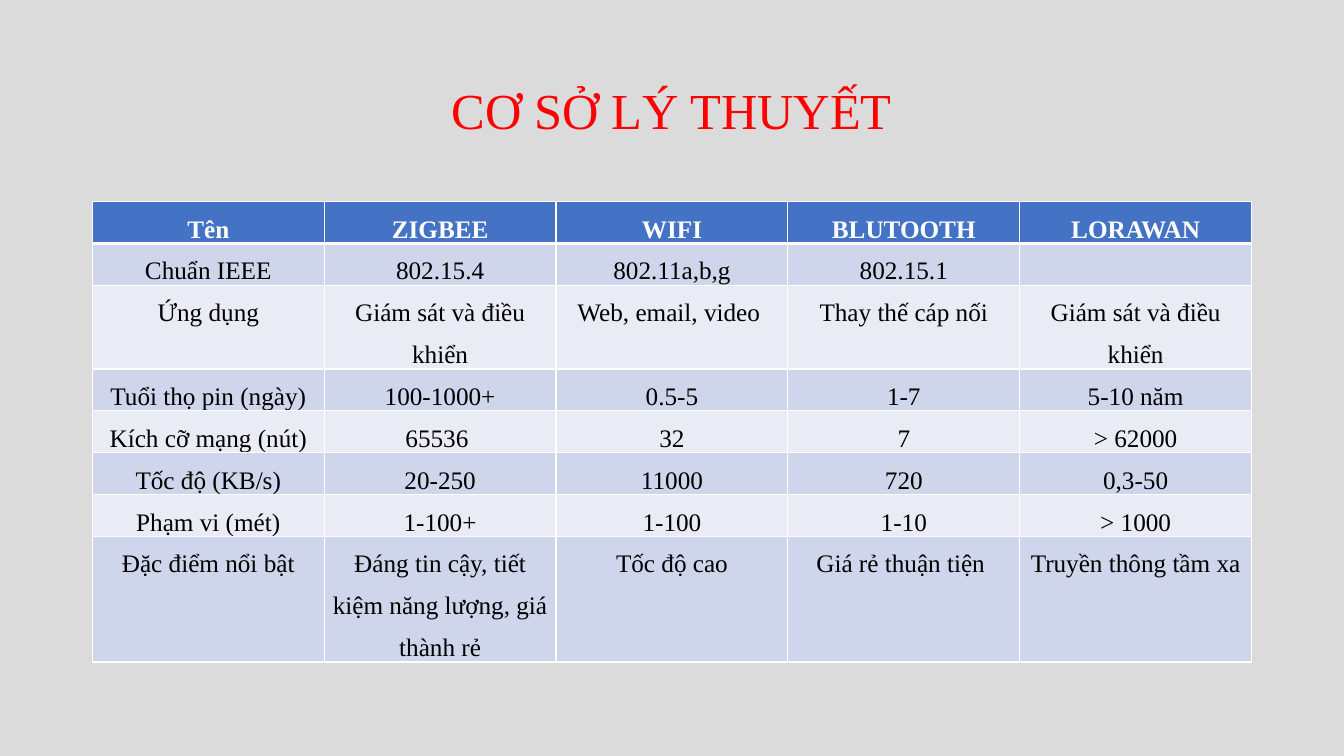
import dataclasses

import lxml.etree
import pptx
import pptx.dml.color
import pptx.enum.text
import pptx.oxml.ns
import pptx.util

Pt = pptx.util.Pt
FONT = "Times New Roman"
LEFT, WIDTH = 66, 828
ROW_HEIGHT = 29.5


@dataclasses.dataclass(frozen=True)
class RowStyle:
    fill: str
    color: str
    bold: bool
    top: float = 1
    bottom: float = 1


HEADER = RowStyle("4472C4", "FFFFFF", True, bottom=3)
FIRST = RowStyle("CFD5EA", "000000", False, top=3)
DARK = RowStyle("CFD5EA", "000000", False)
LIGHT = RowStyle("E9EBF5", "000000", False)

ROWS = [
    ("Tên", "ZIGBEE", "WIFI", "BLUTOOTH", "LORAWAN"),
    ("Chuẩn IEEE", "802.15.4", "802.11a,b,g", "802.15.1", ""),
    ("Ứng dụng", "Giám sát và điều khiển", "Web, email, video ",
     "Thay thế cáp nối", "Giám sát và điều khiển"),
    ("Tuổi thọ pin (ngày)", "100-1000+", "0.5-5", "1-7", "5-10 năm"),
    ("Kích cỡ mạng (nút)", "65536 ", "32", "7", "> 62000"),
    ("Tốc độ (KB/s)", "20-250", "11000", "720", "0,3-50"),
    ("Phạm vi (mét)", "1-100+", "1-100", "1-10", "> 1000"),
    ("Đặc điểm nổi bật", "Đáng tin cậy, tiết kiệm năng lượng, giá thành rẻ",
     "Tốc độ cao", "Giá rẻ thuận tiện ", "Truyền thông tầm xa"),
]


def rgb(value: str) -> pptx.dml.color.RGBColor:
    return pptx.dml.color.RGBColor.from_string(value)


def style_paragraph(p, size: float, color: str, spacing: float, bold: bool = False) -> None:
    p.alignment = pptx.enum.text.PP_ALIGN.CENTER
    p.line_spacing = spacing
    p.font.name = FONT
    p.font.size = Pt(size)
    p.font.bold = bold
    p.font.color.rgb = rgb(color)


def add_borders(cell, style: RowStyle) -> None:
    qn = pptx.oxml.ns.qn
    tc_pr = cell._tc.get_or_add_tcPr()
    widths = {"a:lnL": 1, "a:lnR": 1, "a:lnT": style.top, "a:lnB": style.bottom}
    for i, (tag, width) in enumerate(widths.items()):
        ln = lxml.etree.Element(qn(tag), w=str(Pt(width)))
        fill = lxml.etree.SubElement(ln, qn("a:solidFill"))
        lxml.etree.SubElement(fill, qn("a:srgbClr"), val="FFFFFF")
        tc_pr.insert(i, ln)


def fill_cell(cell, text: str, style: RowStyle) -> None:
    cell.margin_left = cell.margin_right = Pt(5)
    cell.margin_top = cell.margin_bottom = 0
    cell.fill.solid()
    cell.fill.fore_color.rgb = rgb(style.fill)
    add_borders(cell, style)
    p = cell.text_frame.paragraphs[0]
    if text:
        p.text = text
    style_paragraph(p, 18, style.color, 1.5, style.bold)


def add_title(s, text: str) -> None:
    sp = s.shapes.add_textbox(Pt(LEFT), Pt(28.8), Pt(WIDTH), Pt(104.4))
    tf = sp.text_frame
    tf.word_wrap = True
    tf.vertical_anchor = pptx.enum.text.MSO_ANCHOR.MIDDLE
    p = tf.paragraphs[0]
    p.text = text
    style_paragraph(p, 36, "FF0000", 0.9)


def add_comparison(s) -> None:
    columns = len(ROWS[0])
    table = s.shapes.add_table(len(ROWS), columns, Pt(LEFT), Pt(144),
                               Pt(WIDTH), Pt(ROW_HEIGHT * len(ROWS))).table
    for column in table.columns:
        column.width = Pt(WIDTH / columns)
    styles = [HEADER, FIRST] + [LIGHT, DARK] * 3
    for i, (texts, style) in enumerate(zip(ROWS, styles)):
        table.rows[i].height = Pt(ROW_HEIGHT)
        for j, text in enumerate(texts):
            fill_cell(table.cell(i, j), text, style)


def main() -> None:
    prs = pptx.Presentation()
    prs.slide_width, prs.slide_height = Pt(960), Pt(540)
    s = prs.slides.add_slide(prs.slide_layouts[6])
    s.background.fill.solid()
    s.background.fill.fore_color.rgb = rgb("DBDBDB")
    add_comparison(s)
    add_title(s, "CƠ SỞ LÝ THUYẾT")
    prs.save("out.pptx")


if __name__ == "__main__":
    main()
